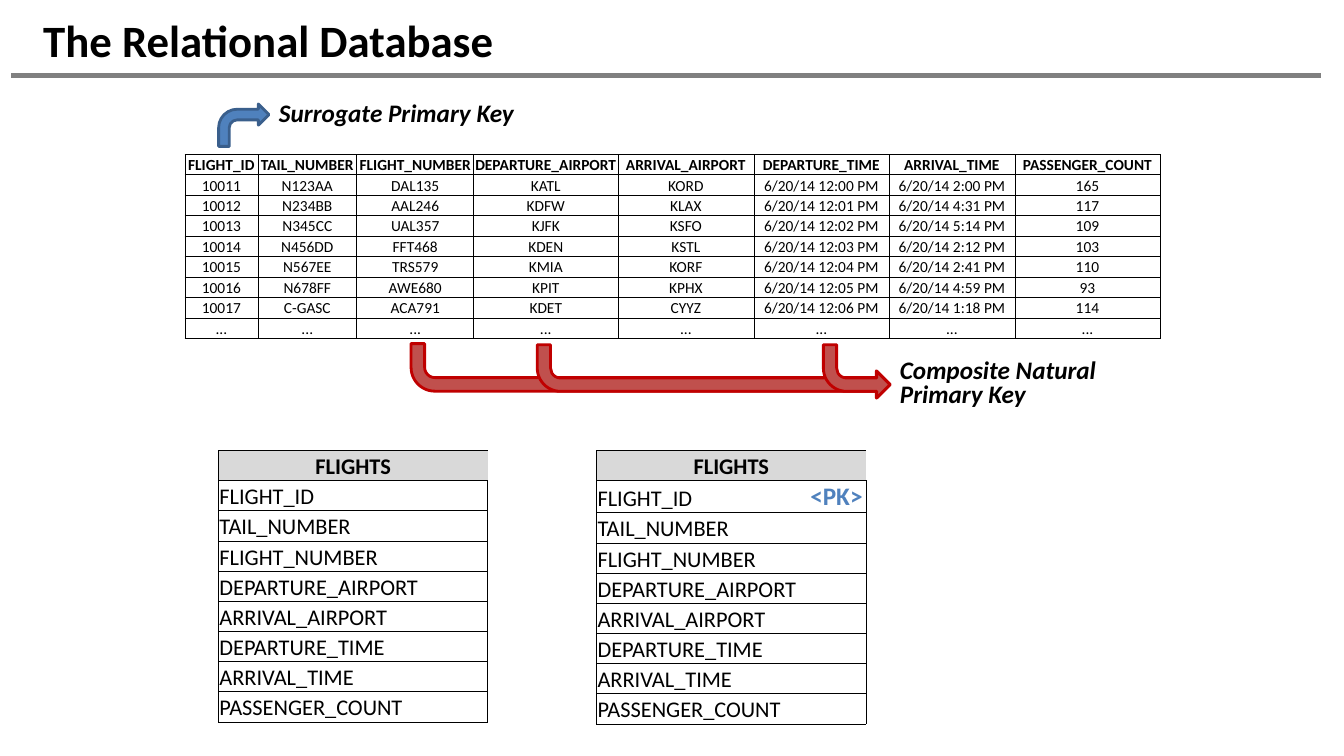
from lxml.etree import SubElement
from pptx import Presentation
from pptx.dml.color import RGBColor
from pptx.enum.shapes import MSO_CONNECTOR, MSO_SHAPE
from pptx.enum.text import MSO_ANCHOR, PP_ALIGN
from pptx.oxml.ns import qn
from pptx.util import Cm, Pt

HUES = {
    "black": "000000", "rule": "808080", "head": "D9D9D9",
    "blue": "4F81BD", "navy": "3A5F8C", "red": "C0504D", "dark": "C00000",
}


def put(frame, text, size=18, bold=False, slant=False, hue="black",
        align=PP_ALIGN.LEFT, space=None):
    para = frame.paragraphs[0]
    para.alignment = align
    if space:
        para.line_spacing = space
    if not text:
        para._p.get_or_add_endParaRPr().set("sz", str(size * 100))
        return
    run = para.add_run()
    run.text = text
    font = run.font
    font.name, font.size, font.bold, font.italic = "Calibri", Pt(size), bold, slant
    font.color.rgb = RGBColor.from_string(HUES[hue])


def grid(left, top, cols, tall, rows, size, entity=False):
    frame = slide.shapes.add_table(len(rows), len(cols), Cm(left), Cm(top),
                                   Cm(sum(cols)), Cm(sum(tall)))
    table = frame.table
    table.first_row = table.horz_banding = False
    for col, width in zip(table.columns, cols):
        col.width = Cm(width)
    for row, height in zip(table.rows, tall):
        row.height = Cm(height)
    for r, texts in enumerate(rows):
        for c, text in enumerate(texts):
            cell = table.cell(r, c)
            cell.margin_left = cell.margin_right = cell.margin_top = Cm(0.02)
            cell.margin_bottom = 0
            cell.vertical_anchor = MSO_ANCHOR.BOTTOM
            key = text == "<PK>"
            mid = r == 0 or not entity
            put(cell.text_frame, text, size=18 if key else size,
                bold=r == 0 or key, hue="blue" if key else "black",
                align=PP_ALIGN.CENTER if mid else PP_ALIGN.LEFT)
            open_side = "RL"[c] if entity else ""
            props = cell._tc.get_or_add_tcPr()
            for side in "LRTB":
                edge = SubElement(props, qn("a:ln" + side), w=str(Pt(0.5)))
                if side == open_side:
                    SubElement(edge, qn("a:noFill"))
                else:
                    fill = SubElement(edge, qn("a:solidFill"))
                    SubElement(fill, qn("a:srgbClr"), val=HUES["black"])
            if entity and r == 0:
                cell.fill.solid()
                cell.fill.fore_color.rgb = RGBColor.from_string(HUES["head"])
            else:
                cell.fill.background()
    if entity:
        table.cell(0, 0).merge(table.cell(0, 1))


deck = Presentation()
deck.slide_width, deck.slide_height = Cm(33.87), Cm(19.05)
slide = deck.slides.add_slide(deck.slide_layouts[6])

rule = slide.shapes.add_connector(MSO_CONNECTOR.STRAIGHT, Cm(0.28), Cm(1.9), Cm(33.3), Cm(1.9))
rule.line.color.rgb = RGBColor.from_string(HUES["rule"])
rule.line.width = Pt(3)
SubElement(rule._element.spPr, qn("a:effectLst"))

labels = [
    ("The Relational Database", 0.84, 0.43, 32.46, 1.14,
     dict(size=32, bold=True), MSO_ANCHOR.MIDDLE),
    ("Surrogate Primary Key", 6.78, 2.34, 7.62, 1.02,
     dict(bold=True, slant=True), MSO_ANCHOR.TOP),
    ("Composite Natural Primary Key", 22.43, 8.94, 7.62, 1.5,
     dict(bold=True, slant=True, space=0.8), MSO_ANCHOR.TOP),
]
for text, left, top, width, height, style, anchor in labels:
    frame = slide.shapes.add_textbox(Cm(left), Cm(top), Cm(width), Cm(height)).text_frame
    frame.word_wrap = True
    frame.vertical_anchor = anchor
    put(frame, text, **style)

fields = ["FLIGHT_ID", "TAIL_NUMBER", "FLIGHT_NUMBER", "DEPARTURE_AIRPORT",
          "ARRIVAL_AIRPORT", "DEPARTURE_TIME", "ARRIVAL_TIME", "PASSENGER_COUNT"]
trips = [
    ("10011", "N123AA", "DAL135", "KATL", "KORD", "12:00", "2:00", "165"),
    ("10012", "N234BB", "AAL246", "KDFW", "KLAX", "12:01", "4:31", "117"),
    ("10013", "N345CC", "UAL357", "KJFK", "KSFO", "12:02", "5:14", "109"),
    ("10014", "N456DD", "FFT468", "KDEN", "KSTL", "12:03", "2:12", "103"),
    ("10015", "N567EE", "TRS579", "KMIA", "KORF", "12:04", "2:41", "110"),
    ("10016", "N678FF", "AWE680", "KPIT", "KPHX", "12:05", "4:59", "93"),
    ("10017", "C-GASC", "ACA791", "KDET", "CYYZ", "12:06", "1:18", "114"),
]
rows = [[f"6/20/14 {part} PM" if ":" in part else part for part in trip] for trip in trips]
grid(4.66, 3.89, [1.84, 2.49, 2.95, 3.63, 3.43, 3.4, 3.18, 3.65], [4.64 / 9] * 9,
     [fields, *rows, ["..."] * 8], 11)

for left, mark, first in [(5.51, "", 0.76), (15.04, "<PK>", 0.81)]:
    marks = [mark] + [""] * 7
    grid(left, 11.35, [5.36, 1.42], [0.76, first] + [0.76] * 7,
         [("FLIGHTS", ""), *zip(fields, marks)], 16, entity=True)

group = slide.shapes.add_group_shape()
arrows = [
    (slide, 5.51, 2.62, 6.78, 1.07, "blue", "navy"),
    (group, 10.36, 8.66, 22.43, 1.37, "red", "dark"),
    (group, 13.54, 8.69, 22.43, 1.34, "red", "dark"),
    (group, 20.75, 8.69, 22.43, 1.34, "red", "dark"),
]
for home, left, top, tip, height, hue, edge in arrows:
    arrow = home.shapes.add_shape(MSO_SHAPE.BENT_ARROW, Cm(left), Cm(top),
                                  Cm(tip - left), Cm(height))
    arrow.shadow.inherit = False
    arrow.fill.solid()
    arrow.fill.fore_color.rgb = RGBColor.from_string(HUES[hue])
    arrow.line.color.rgb = RGBColor.from_string(HUES[edge])
    arrow.line.width = Pt(2)
    if home is group:
        arrow._element.spPr.xfrm.set("flipV", "1")

deck.save("out.pptx")
